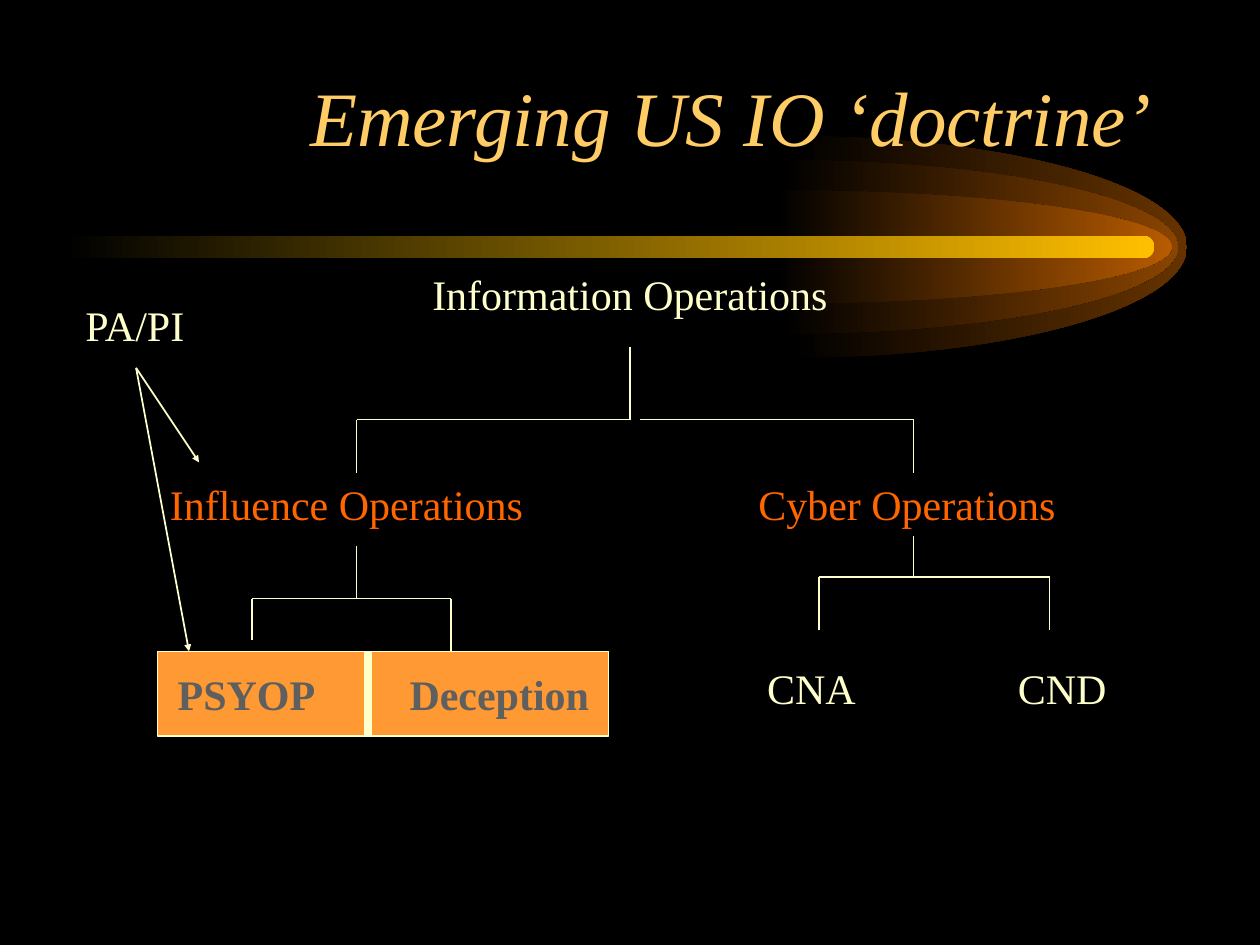
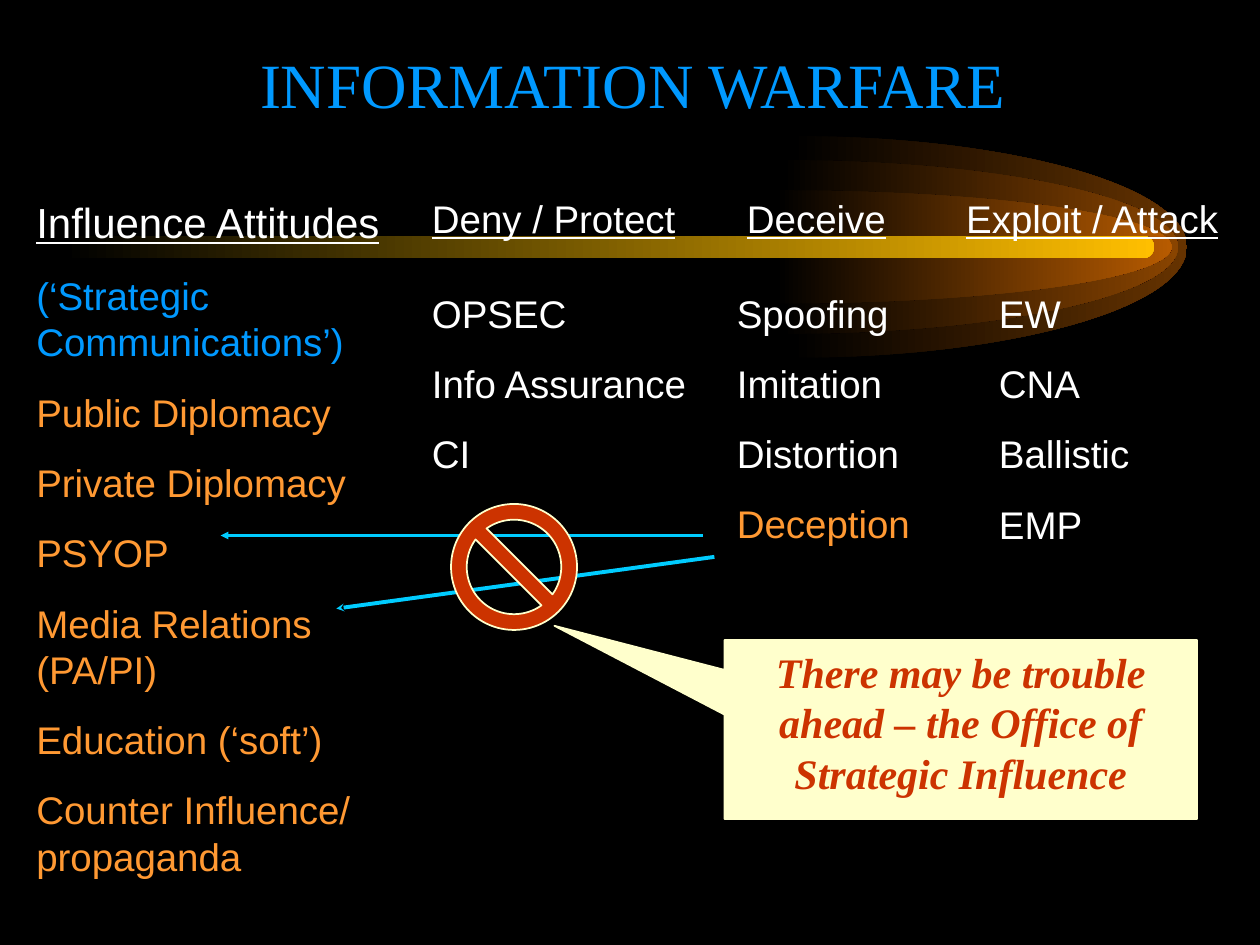
"""Build two slides on information operations and information warfare."""
from lxml import etree
from pptx import Presentation
from pptx import util as u
from pptx.dml import color as dml_color
from pptx.enum import shapes as shape_enum
from pptx.enum import text as text_enum
from pptx.oxml import ns

SERIF, SANS = "Times New Roman", "Arial"
CREAM, WHITE, BLACK = "FFFFCC", "FFFFFF", "000000"
ORANGE, DEEP_ORANGE, GOLD = "FF9933", "FF6600", "FFCC66"
BLUE, CYAN, RED, GRAY = "0099FF", "00CCFF", "CC3300", "5F5F5F"
LEFT, CENTER, RIGHT = (text_enum.PP_ALIGN.LEFT, text_enum.PP_ALIGN.CENTER,
                       text_enum.PP_ALIGN.RIGHT)
TOP, MIDDLE = text_enum.MSO_ANCHOR.TOP, text_enum.MSO_ANCHOR.MIDDLE
SHAPE = shape_enum.MSO_SHAPE
COMET_RINGS = [(6.28, 0.88, "663300"), (6.21, 0.69, "894400"), (6.16, 0.45, "B75B00")]
COMET_MIDDLE, COMET_LENGTH, ARC_HANDLE = 1.96, 3.14, 0.55


def rgb(value):
    """Turn a hex string into a colour."""
    return dml_color.RGBColor.from_string(value)


def set_attributes(target, values):
    """Set each attribute named in a dict."""
    for name, value in values.items():
        setattr(target, name, value)


def inches(values):
    """Convert a sequence of numbers to lengths."""
    return [u.Inches(value) for value in values]


def add_tab(paragraph, position):
    """Add one left tab stop to a paragraph."""
    properties = paragraph._p.get_or_add_pPr()
    tabs = etree.SubElement(properties, ns.qn("a:tabLst"))
    etree.SubElement(tabs, ns.qn("a:tab"), pos=str(u.Inches(position)), algn="l")


def write(shape, lines, size=24, color=CREAM, name=SERIF, align=LEFT, anchor=TOP,
          tab=None, gap=0, inset=0.1, **font):
    """Write paragraphs given as strings or (string, colour) pairs."""
    frame = shape.text_frame
    set_attributes(frame, {
        "auto_size": text_enum.MSO_AUTO_SIZE.NONE, "word_wrap": True,
        "vertical_anchor": anchor, "margin_left": u.Inches(inset),
        "margin_right": u.Inches(0.1), "margin_top": u.Inches(0.05),
        "margin_bottom": u.Inches(0.05)})
    for index, line in enumerate(lines):
        content, line_color = (line, color) if isinstance(line, str) else line
        paragraph = frame.add_paragraph() if index else frame.paragraphs[0]
        set_attributes(paragraph, {"alignment": align, "line_spacing": 1.0,
                                   "space_before": u.Pt(gap if index else 0)})
        if tab:
            add_tab(paragraph, tab)
        run = paragraph.add_run()
        run.text = content
        set_attributes(run.font, {"size": u.Pt(size), "name": name, **font})
        run.font.color.rgb = rgb(line_color)


def add_label(slide, box, lines, **style):
    """Add a text box."""
    write(slide.shapes.add_textbox(*inches(box)), lines, **style)


def add_column(slide, heading_box, heading, body_box, items, heading_size=22):
    """Add an underlined heading and the list under it."""
    add_label(slide, heading_box, [heading], size=heading_size, color=WHITE,
              name=SANS, underline=True)
    add_label(slide, body_box, items, size=22, color=WHITE, name=SANS, gap=13.8)


def add_box(slide, kind, box, fill, adjustments=()):
    """Add a filled preset shape with a thin cream outline."""
    shape = slide.shapes.add_shape(kind, *inches(box))
    shape.shadow.inherit = False
    for index, value in enumerate(adjustments):
        shape.adjustments[index] = value
    shape.fill.solid()
    shape.fill.fore_color.rgb = rgb(fill)
    shape.line.color.rgb = rgb(CREAM)
    shape.line.width = u.Pt(1)
    return shape


def add_line(slide, start, end, color=CREAM, width=1, head=None):
    """Add a straight line, with a small arrowhead at its end if named."""
    line = slide.shapes.add_connector(shape_enum.MSO_CONNECTOR.STRAIGHT,
                                      *inches(start + end))
    line.line.color.rgb = rgb(color)
    line.line.width = u.Pt(width)
    if head:
        etree.SubElement(line.line._get_or_add_ln(), ns.qn("a:tailEnd"),
                         type=head, w="sm", len="sm")
    etree.SubElement(line.element.spPr, ns.qn("a:effectLst"))


def add_branch(slide, stem, top, level, bars, drops):
    """Draw a stem, the bars at one level and the drops below them."""
    add_line(slide, (stem, top), (stem, level))
    for start, end in bars:
        add_line(slide, (start, level), (end, level))
    for x, bottom in drops:
        add_line(slide, (x, level), (x, bottom))


def fade(shape, color):
    """Fill a shape from black to a colour, left to right."""
    shape.shadow.inherit = False
    shape.line.fill.background()
    shape.fill.gradient()
    shape.fill.gradient_angle = 0
    for stop, value in zip(shape.fill.gradient_stops, (BLACK, color)):
        stop.color.rgb = rgb(value)


def add_half_ellipse(slide, left, radius):
    """Add the right half of an ellipse as two curves."""
    across, down = ARC_HANDLE * COMET_LENGTH, ARC_HANDLE * radius
    offsets = [(0, -radius), (across, -radius), (COMET_LENGTH, -down), (COMET_LENGTH, 0),
               (COMET_LENGTH, down), (across, radius), (0, radius)]
    points = [inches((left + x, COMET_MIDDLE + y)) for x, y in offsets]
    builder = slide.shapes.build_freeform(*points[0])
    builder.add_line_segments(points[1:], close=True)
    shape = builder.convert_to_shape()
    segments = list(shape.element.iter(ns.qn("a:lnTo")))
    for first in (0, 3):
        curve = etree.Element(ns.qn("a:cubicBezTo"))
        segments[first].addprevious(curve)
        for segment in segments[first:first + 3]:
            curve.append(segment[0])
            segment.getparent().remove(segment)
    return shape


def add_comet(slide):
    """Draw the comet on a slide and move it to the slide's layout."""
    parts = [(add_half_ellipse(slide, left, radius), color)
             for left, radius, color in COMET_RINGS]
    tail = slide.shapes.add_shape(SHAPE.ROUNDED_RECTANGLE, *inches((0.5, 1.87, 8.66, 0.18)))
    tail.adjustments[0] = 0.5
    parts.append((tail, "FFBF00"))
    for number, (shape, color) in enumerate(parts, 20):
        fade(shape, color)
        shape.element.nvSpPr.cNvPr.set("id", str(number))
        slide.slide_layout.shapes.element.append(shape.element)


def add_titled_slide(presentation, layout, title, box, **style):
    """Add a slide and place its title."""
    slide = presentation.slides.add_slide(layout)
    set_attributes(slide.shapes.title,
                   dict(zip(("left", "top", "width", "height"), inches(box))))
    write(slide.shapes.title, [title], anchor=MIDDLE, **style)
    return slide


def draw_doctrine(slide):
    """Draw the tree of information operations."""
    add_label(slide, (0.75, 2.08, 8.5, 5.37), ["Information Operations"], align=CENTER)
    add_label(slide, (0.58, 2.33, 1.17, 0.5), ["PA/PI"])
    add_label(slide, (1.25, 3.75, 3.08, 0.5), ["Influence Operations"], color=DEEP_ORANGE)
    add_label(slide, (5.92, 3.75, 2.75, 0.5), ["Cyber Operations"], color=DEEP_ORANGE)
    add_label(slide, (5.99, 5.21, 3.2, 0.5), ["CNA\tCND"], tab=1.99)
    methods = add_box(slide, SHAPE.RECTANGLE, (1.25, 5.17, 3.58, 0.67), ORANGE)
    write(methods, ["PSYOP\tDeception"], color=GRAY, anchor=MIDDLE, tab=1.84,
          inset=0.16, bold=True)
    add_line(slide, (2.92, 5.17), (2.92, 5.83), width=4.5)
    add_branch(slide, 5, 2.75, 3.33, [(5, 2.83), (5.08, 7.25)],
               [(2.83, 3.75), (7.25, 3.75)])
    add_branch(slide, 2.83, 4.33, 4.75, [(2, 3.58)], [(2, 5.08), (3.58, 5.17)])
    add_branch(slide, 7.25, 4.25, 4.58, [(6.5, 8.33)], [(6.5, 5), (8.33, 5)])
    for target in ((1.58, 3.67), (1.5, 5.17)):
        add_line(slide, (1.08, 2.92), target, head="triangle")


def draw_warfare(slide):
    """Draw the four columns, the barred arrows and the warning."""
    influence = ["Public Diplomacy", "Private Diplomacy", "PSYOP",
                 "Media Relations (PA/PI)", "Education (‘soft’)",
                 "Counter Influence/ propaganda"]
    add_column(slide, (0.19, 1.51, 3.26, 0.5), "Influence Attitudes",
               (0.19, 2.11, 2.96, 5.47),
               [("(‘Strategic Communications’)", BLUE)]
               + [(item, ORANGE) for item in influence], heading_size=24)
    add_column(slide, (3.33, 1.5, 2.18, 0.47), "Deny / Protect",
               (3.33, 2.25, 2.73, 1.58), ["OPSEC", "Info Assurance", "CI"])
    add_column(slide, (5.83, 1.5, 1.48, 0.47), "Deceive", (5.75, 2.25, 1.67, 1.58),
               ["Spoofing", "Imitation", "Distortion"])
    add_column(slide, (7.57, 1.5, 2.43, 0.47), "Exploit / Attack",
               (7.83, 2.25, 1.68, 2.7), ["EW", "CNA", "Ballistic", "EMP"])
    add_label(slide, (5.75, 3.92, 1.57, 0.84), ["Deception"], size=22, color=ORANGE,
              name=SANS)
    add_line(slide, (5.67, 4.42), (2.67, 4.83), CYAN, 2.25, "stealth")
    add_line(slide, (5.58, 4.25), (1.75, 4.25), CYAN, 2.25, "triangle")
    add_box(slide, SHAPE.NO_SYMBOL, (3.58, 4, 1, 1), RED, [0.125])
    warning = add_box(slide, SHAPE.RECTANGULAR_CALLOUT, (5.75, 5.08, 3.75, 1.42),
                      CREAM, [-0.86, -0.58])
    write(warning, ["There may be trouble ahead – the Office of Strategic Influence"],
          color=RED, align=CENTER, bold=True, italic=True)


def main():
    """Build and save the presentation."""
    presentation = Presentation()
    set_attributes(presentation, {"slide_width": u.Inches(10),
                                  "slide_height": u.Inches(7.5)})
    layout = presentation.slide_layouts[5]
    layout.background.fill.solid()
    layout.background.fill.fore_color.rgb = rgb(BLACK)
    doctrine = add_titled_slide(presentation, layout, "Emerging US IO ‘doctrine’",
                                (0.75, 0.25, 8.5, 1.33), size=44, color=GOLD,
                                align=RIGHT, italic=True)
    add_comet(doctrine)
    draw_doctrine(doctrine)
    warfare = add_titled_slide(presentation, layout, "INFORMATION WARFARE",
                               (1.42, 0, 7.2, 1.33), size=36, color=BLUE, align=CENTER)
    draw_warfare(warfare)
    presentation.save("out.pptx")


if __name__ == "__main__":
    main()
